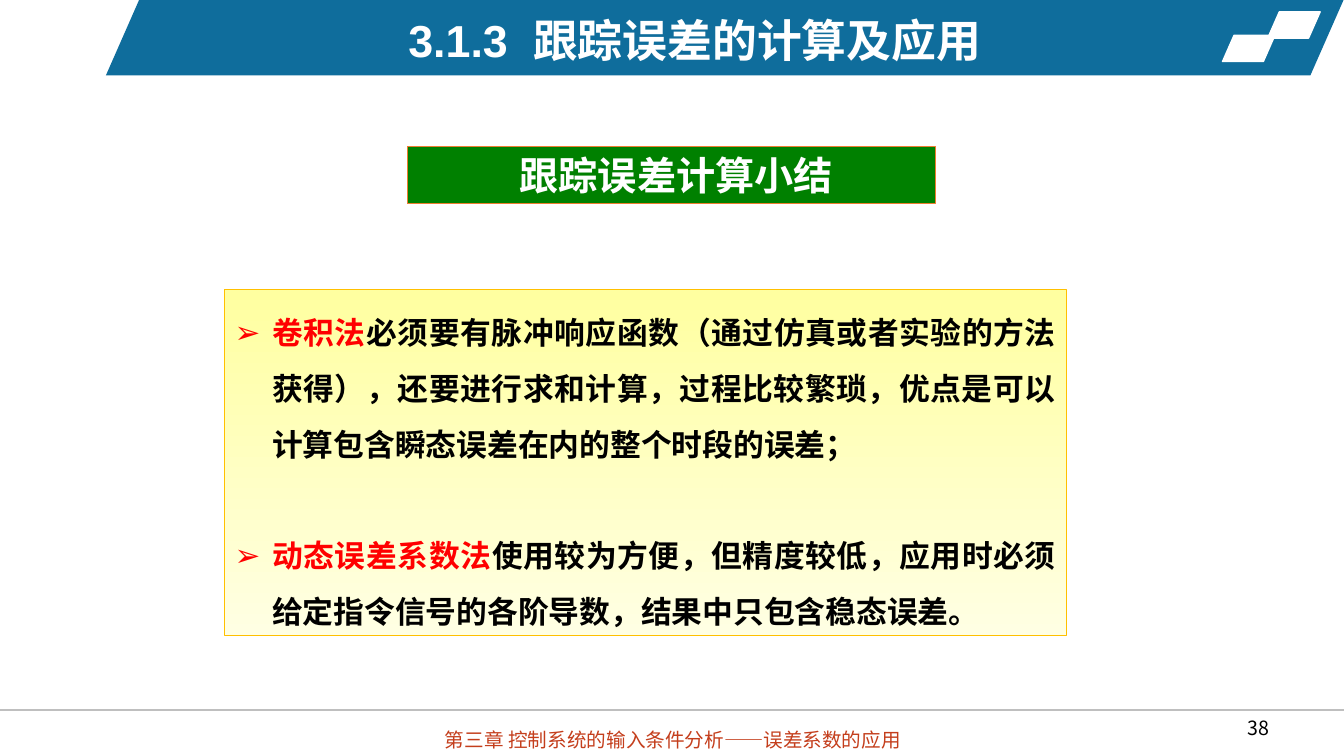
from dataclasses import dataclass

import pptx
import pptx.dml.color
import pptx.enum.shapes
import pptx.enum.text
import pptx.oxml.ns
import pptx.util
from lxml import etree
from pptx.util import Cm, Pt

SLIDE_WIDTH, SLIDE_HEIGHT = 33.87, 19.05
ALIGN = pptx.enum.text.PP_ALIGN
ANCHOR = pptx.enum.text.MSO_ANCHOR
SHAPE = pptx.enum.shapes.MSO_SHAPE
SANS = "Noto Sans CJK SC"
WHITE, BLACK, RED = "FFFFFF", "000000", "FF0000"


@dataclass
class Box:
    left: float
    top: float
    width: float
    height: float

    def lengths(self) -> tuple:
        return Cm(self.left), Cm(self.top), Cm(self.width), Cm(self.height)


@dataclass
class Style:
    size: float
    font: str = SANS
    bold: bool = False


@dataclass
class Piece:
    text: str
    color: str
    spacing: int = 0


def rgb(value: str) -> pptx.dml.color.RGBColor:
    return pptx.dml.color.RGBColor.from_string(value)


def add_xml(parent, tag: str, **attributes: str):
    return etree.SubElement(parent, pptx.oxml.ns.qn(tag), **attributes)


def place(shape, box: Box) -> None:
    shape.left, shape.top, shape.width, shape.height = box.lengths()


def outline(shape, color: str, width: float) -> None:
    shape.line.color.rgb = rgb(color)
    shape.line.width = Pt(width)


def add_solid(slide, kind, box: Box, fill: str):
    shape = slide.shapes.add_shape(kind, *box.lengths())
    shape.shadow.inherit = False
    shape.fill.solid()
    shape.fill.fore_color.rgb = rgb(fill)
    shape.line.fill.background()
    return shape


def add_parallelogram(slide, box: Box, fill: str):
    shape = add_solid(slide, SHAPE.PARALLELOGRAM, box, fill)
    shape.adjustments[0] = 0.44
    return shape


def write(paragraph, pieces: list[Piece], style: Style, alignment) -> None:
    paragraph.alignment = alignment
    for piece in pieces:
        run = paragraph.add_run()
        run.text = piece.text
        run.font.size = Pt(style.size)
        run.font.bold = style.bold
        run.font.name = style.font
        run.font.color.rgb = rgb(piece.color)
        properties = run.font._element
        add_xml(properties, "a:ea", typeface=SANS)
        if piece.spacing:
            properties.set("spc", str(piece.spacing))


def prepare(shape, anchor, top: float = 0.0, left: float = 0.25):
    frame = shape.text_frame
    frame.word_wrap = True
    frame.auto_size = pptx.enum.text.MSO_AUTO_SIZE.NONE
    frame.vertical_anchor = anchor
    frame.margin_left, frame.margin_right = Cm(left), Cm(0.25)
    frame.margin_top, frame.margin_bottom = Cm(top), Cm(0)
    return frame


def add_bullet(paragraph, color: str) -> None:
    properties = paragraph._p.get_or_add_pPr()
    properties.set("marL", str(Cm(0.95)))
    properties.set("indent", str(-Cm(0.95)))
    add_xml(add_xml(properties, "a:buClr"), "a:srgbClr", val=color)
    add_xml(properties, "a:buFont", typeface="Arial")
    add_xml(properties, "a:buChar", char="➢")


presentation = pptx.Presentation()
presentation.slide_width = Cm(SLIDE_WIDTH)
presentation.slide_height = Cm(SLIDE_HEIGHT)
slide = presentation.slides.add_slide(presentation.slide_layouts[1])
title, summary = slide.placeholders

# Header banner with its two tiles
add_parallelogram(slide, Box(2.67, 0, 31.19, 1.9), "0F6D9C")
for left, top in ((31.95, 0.3), (30.81, 0.89)):
    tile = add_parallelogram(slide, Box(left, top, 1.32, 0.66), WHITE)
    outline(tile, WHITE, 1)

# Title, brought in front of the banner
place(title, Box(3.43, 0.18, 28.17, 1.63))
title.element.getparent().append(title.element)
title_pieces = [Piece("3.1.3", WHITE), Piece(" ", WHITE, 900),
                Piece("跟踪误差的计算及应用", WHITE)]
write(prepare(title, ANCHOR.MIDDLE).paragraphs[0], title_pieces,
      Style(32, "Arial", True), ALIGN.CENTER)

# Footer rule, chapter name and page number
rule = slide.shapes.add_connector(
    pptx.enum.shapes.MSO_CONNECTOR.STRAIGHT,
    Cm(0), Cm(17.88), Cm(SLIDE_WIDTH), Cm(17.88))
outline(rule, "BFBFBF", 1.5)
add_xml(rule._element.spPr, "a:effectLst")

chapter = slide.shapes.add_textbox(*Box(9.32, 18.03, 15.29, 1.02).lengths())
chapter_paragraph = prepare(chapter, ANCHOR.MIDDLE).paragraphs[0]
chapter_paragraph.line_spacing = 1.3
write(chapter_paragraph,
      [Piece("第三章 控制系统的输入条件分析——误差系数的应用", "C43E1C")],
      Style(14), ALIGN.CENTER)

page_number = slide.shapes.add_textbox(*Box(24.61, 18.03, 7.62, 1.02).lengths())
write(prepare(page_number, ANCHOR.TOP).paragraphs[0],
      [Piece("38", BLACK)], Style(14), ALIGN.RIGHT)

# Green heading
heading = add_solid(slide, SHAPE.RECTANGLE, Box(10.26, 3.68, 13.31, 1.45), "008000")
outline(heading, "ED7D31", 0.5)
write(prepare(heading, ANCHOR.MIDDLE, left=0.5).paragraphs[0],
      [Piece("跟踪误差计算小结", WHITE)],
      Style(28, "Times New Roman", True), ALIGN.CENTER)

# Summary list on a yellow gradient
place(summary, Box(5.66, 7.29, 21.21, 8.71))
summary.element.getparent().append(summary.element)
summary.fill.gradient()
summary.fill.gradient_angle = 270
for stop, color in zip(summary.fill.gradient_stops, ("FFFFA0", "FFFFE3")):
    stop.color.rgb = rgb(color)
outline(summary, "FFC000", 0.5)

methods = [
    ("卷积法", "必须要有脉冲响应函数（通过仿真或者实验的方法获得），还要进行求和计算，"
     "过程比较繁琐，优点是可以计算包含瞬态误差在内的整个时段的误差；"),
    ("动态误差系数法", "使用较为方便，但精度较低，应用时必须给定指令信号的各阶导数，"
     "结果中只包含稳态误差。"),
]
line_height = Pt(39.8)
summary_frame = prepare(summary, ANCHOR.TOP, top=0.15)
for index, (name, description) in enumerate(methods):
    paragraph = summary_frame.add_paragraph() if index else summary_frame.paragraphs[0]
    paragraph.line_spacing = line_height
    paragraph.space_before = line_height * index
    add_bullet(paragraph, RED)
    write(paragraph, [Piece(name, RED), Piece(description, BLACK)],
          Style(22, bold=True), ALIGN.JUSTIFY)

presentation.save("out.pptx")
